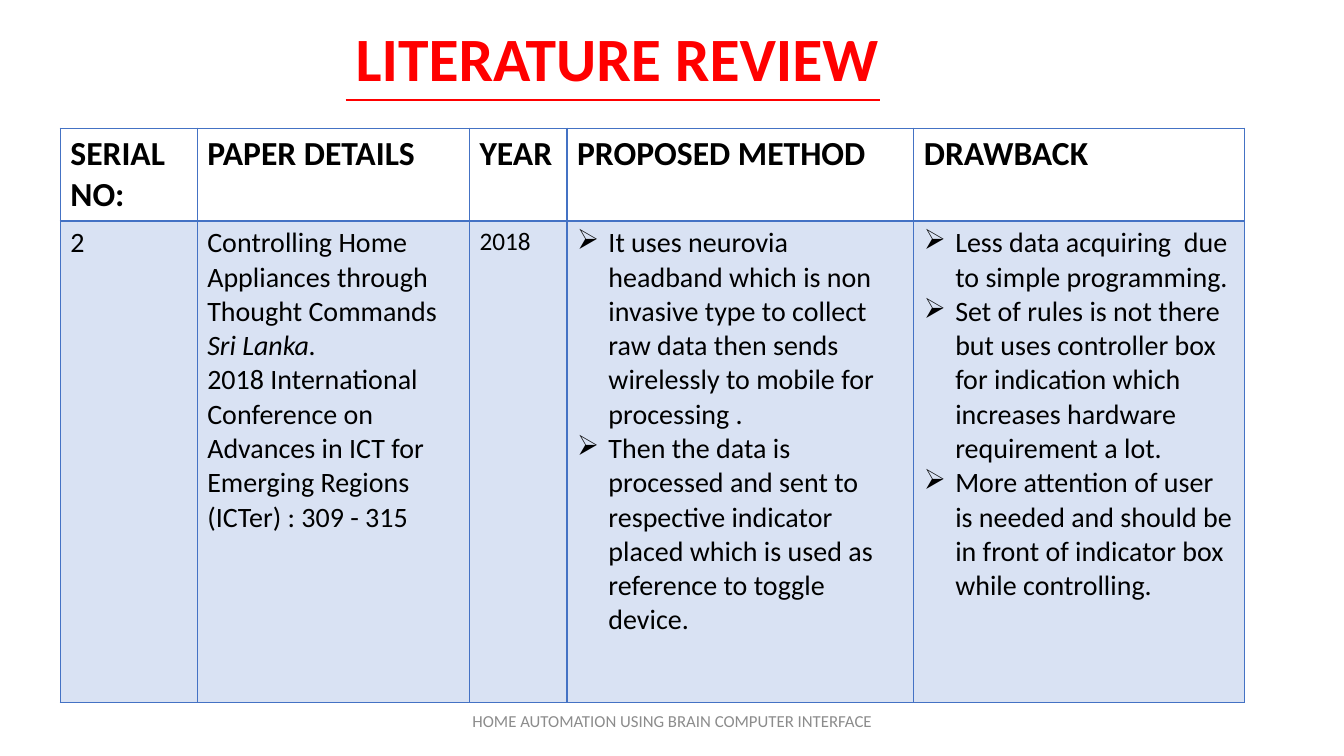
from lxml import etree
from pptx import Presentation, util as u
from pptx.dml.color import RGBColor
from pptx.enum import shapes, text
from pptx.oxml.ns import qn

TITLE = "LITERATURE REVIEW"
FOOTER = "HOME AUTOMATION USING BRAIN COMPUTER INTERFACE"
RED, BLUE, BLACK, GREY = "FF0000", "4472C4", "000000", "8C8C8C"

# Each column: heading, width in cm, paragraphs, format of the paragraphs
COLUMNS = [
    ("SERIAL NO:", 3.45, ["2"], {}),
    ("PAPER DETAILS", 6.86, [
        "Controlling Home Appliances through",
        "Thought Commands",
        "Sri Lanka.",
        "2018 International Conference on Advances in ICT for "
        "Emerging Regions (ICTer) : 309 - 315",
    ], {"italic_lines": {2}}),
    ("YEAR", 2.46, ["2018"], {"size": 18}),
    ("PROPOSED METHOD", 8.74, [
        "It uses neurovia headband which is non invasive type to collect "
        "raw data then sends wirelessly to mobile for processing .",
        "Then the data is processed and sent to respective indicator "
        "placed which is used as reference to toggle device.",
    ], {"bullet": "➢"}),
    ("DRAWBACK", 8.33, [
        "Less data acquiring  due to simple programming.",
        "Set of rules is not there but uses controller box for indication "
        "which increases hardware requirement a lot.",
        "More attention of user is needed and should be in front of "
        "indicator box while controlling.",
    ], {"bullet": "➢"}),
]
ROW_HEIGHTS = (2.34, 12.14)
TABLE_LEFT, TABLE_TOP = 1.52, 3.23
TITLE_LEFT, TITLE_TOP, TITLE_HEIGHT = 8.71, 0.38, 2.13


def color(value):
    return RGBColor.from_string(value)


def write(frame, lines, size=20, hue=BLACK, bold=False, italic_lines=(),
          bullet=None, align=text.PP_ALIGN.LEFT):
    """Fill a text frame with one paragraph per line."""
    frame.word_wrap = True
    for index, line in enumerate(lines):
        paragraph = frame.paragraphs[0] if index == 0 else frame.add_paragraph()
        paragraph.alignment = align
        run = paragraph.add_run()
        run.text = line
        run.font.name, run.font.size = "Calibri", u.Pt(size)
        run.font.bold, run.font.italic = bold, index in italic_lines
        run.font.color.rgb = color(hue)
        if bullet:
            properties = paragraph._p.get_or_add_pPr()
            indent = u.Cm(0.79)
            properties.set("marL", str(indent))
            properties.set("indent", str(-indent))
            etree.SubElement(properties, qn("a:buChar"), char=bullet)


def set_borders(cell, **widths):
    """Draw the cell's borders; widths in points by side."""
    properties = cell._tc.get_or_add_tcPr()
    for side in "LRTB":
        line = etree.SubElement(properties, qn(f"a:ln{side}"),
                                w=str(u.Pt(widths.get(side, 1))))
        fill = etree.SubElement(line, qn("a:solidFill"))
        etree.SubElement(fill, qn("a:srgbClr"), val=BLUE)


presentation = Presentation()
presentation.slide_width, presentation.slide_height = u.Cm(33.87), u.Cm(19.05)
slide = presentation.slides.add_slide(presentation.slide_layouts[5])

# Title and its underline
title = slide.shapes.title
title.left, title.top = u.Cm(TITLE_LEFT), u.Cm(TITLE_TOP)
title.width, title.height = u.Cm(19.53), u.Cm(TITLE_HEIGHT)
title.text_frame.auto_size = text.MSO_AUTO_SIZE.NONE
title.text_frame.vertical_anchor = text.MSO_ANCHOR.TOP
write(title.text_frame, [TITLE], size=44, hue=RED, bold=True)

line_y = u.Cm(TITLE_TOP + TITLE_HEIGHT)
underline = slide.shapes.add_connector(
    shapes.MSO_CONNECTOR.STRAIGHT, u.Cm(TITLE_LEFT), line_y, u.Cm(22.17), line_y)
underline.line.color.rgb = color(RED)
underline.line.width = u.Pt(1.5)
etree.SubElement(underline._element.spPr, qn("a:effectLst"))

# Review table
table = slide.shapes.add_table(
    len(ROW_HEIGHTS), len(COLUMNS), u.Cm(TABLE_LEFT), u.Cm(TABLE_TOP),
    u.Cm(sum(column[1] for column in COLUMNS)), u.Cm(sum(ROW_HEIGHTS))).table
table.first_row = table.horz_banding = False
for row, height in zip(table.rows, ROW_HEIGHTS):
    row.height = u.Cm(height)
for index, (heading, width, lines, style) in enumerate(COLUMNS):
    table.columns[index].width = u.Cm(width)
    header, body = table.cell(0, index), table.cell(1, index)
    write(header.text_frame, [heading], size=24, bold=True)
    set_borders(header, B=2)
    header.fill.background()
    write(body.text_frame, lines, **style)
    set_borders(body, T=2)
    body.fill.solid()
    body.fill.fore_color.rgb = color(BLUE)
    tint = body._tc.tcPr.find(qn("a:solidFill")).find(qn("a:srgbClr"))
    etree.SubElement(tint, qn("a:alpha"), val="20000")

# Footer
footer = slide.shapes.add_textbox(u.Cm(11.23), u.Cm(17.65), u.Cm(11.43), u.Cm(1.02))
footer.text_frame.vertical_anchor = text.MSO_ANCHOR.MIDDLE
write(footer.text_frame, [FOOTER], size=12, hue=GREY, align=text.PP_ALIGN.CENTER)

presentation.save("out.pptx")
